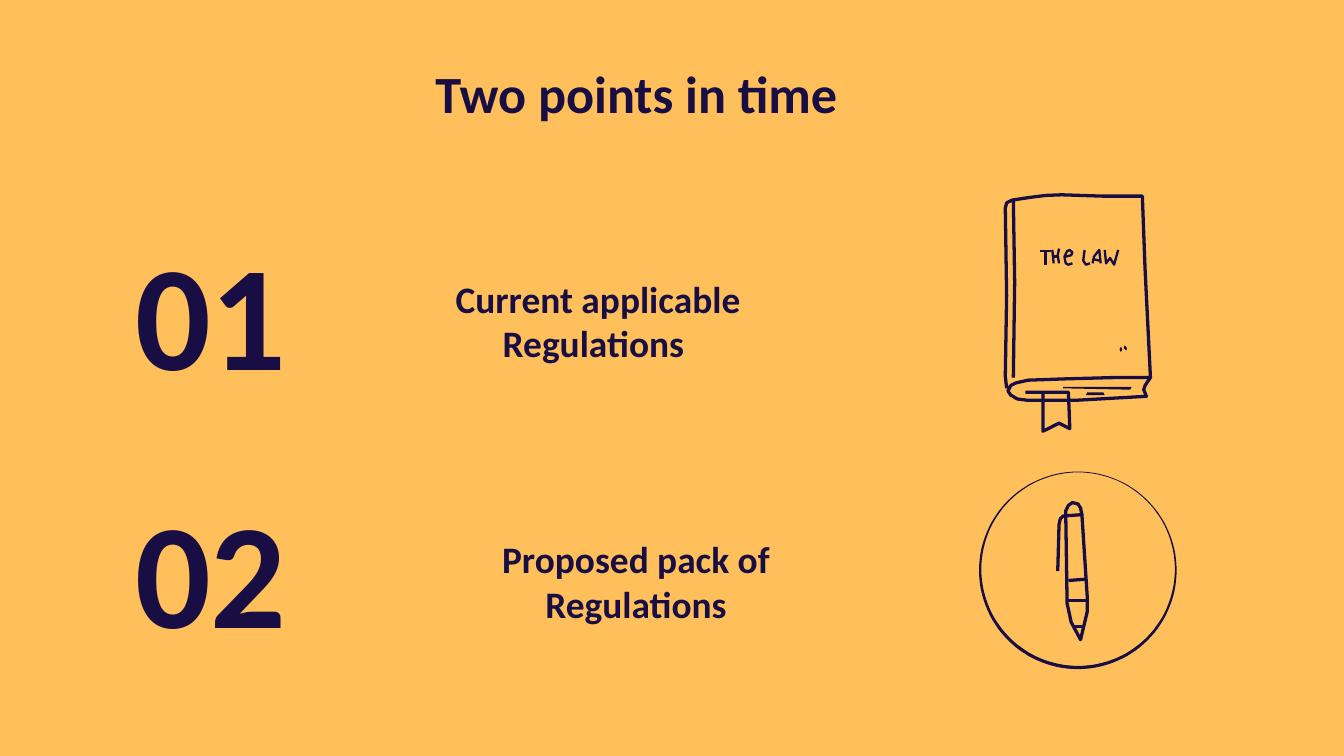
from math import cos, pi, sin

from pptx import Presentation
from pptx.dml.color import RGBColor
from pptx.enum.text import MSO_ANCHOR, MSO_AUTO_SIZE, PP_ALIGN
from pptx.oxml.ns import qn
from pptx.util import Cm, Pt

CENTER, LEFT = PP_ALIGN.CENTER, PP_ALIGN.LEFT
TOP, MIDDLE, BOTTOM = MSO_ANCHOR.TOP, MSO_ANCHOR.MIDDLE, MSO_ANCHOR.BOTTOM
NO_AUTOFIT = MSO_AUTO_SIZE.NONE

COLORS = {"paper": "FFC05C", "ink": "180E44"}
FONT = "Calibri"
COMPARISON_LAYOUT = 4
FINENESS = 10  # steps per unit of the icon coordinates
GRID = Cm(2.54) / 100 / FINENESS

BOOK = [
    # cover and pages
    [(749, 289), (748, 280), (749, 220), (748, 155), (749, 151), (753, 149),
     (766, 147), (778, 145.5), (790, 145), (820, 146), (850, 146), (852, 200),
     (856, 281), (830, 281), (793, 282), (765, 283), (756, 285), (752, 287),
     (750, 291), (752, 294), (757, 297), (765, 298), (775, 298), (800, 298),
     (853, 295), (851, 290), (852, 287), (856, 281)],
    # spine
    [(754, 149), (755, 210), (754, 281)],
    # bookmark
    [(763, 292), (795, 292), (796, 319), (788, 315), (776, 321), (776, 292)],
]

LETTERS = {
    "T": [[(774, 187), (782, 187)], [(778, 187), (778, 197)]],
    "H": [[(783, 186), (784, 196)], [(788, 185), (787, 190), (788, 196)],
          [(784, 191), (787, 191)]],
    "E": [[(793, 191), (797, 190), (798, 188), (796, 186), (794, 187),
           (792, 191), (793, 196), (795, 197), (798, 196)]],
    "L": [[(807, 186), (806, 194), (808, 197), (811, 196)]],
    "A": [[(813, 196), (814, 191), (818, 186), (819, 196)],
          [(814, 193), (818, 194)]],
    "W": [[(822, 186), (823, 196), (826, 192), (829, 197), (832, 186)]],
}

BOOK_MARKS = [
    # page edges
    [(791, 288), (842, 288), (841, 290), (791, 289)],
    [(809, 292), (821, 292), (822, 294), (808, 294)],
    # dots on the cover
    [(834, 258), (833, 260), (834, 262), (835, 260)],
    [(837, 257), (836, 259), (838, 261), (838.5, 259)],
]

PEN = [
    # barrel and tip
    [(793, 384), (794, 449), (797, 463), (804, 476), (809, 455), (809, 445),
     (805, 383), (804, 378), (802, 375), (798, 374), (795, 376), (793, 380),
     (793, 384)],
    # clip
    [(805, 383), (791, 384), (789, 386), (788, 390), (787, 425)],
    # bands
    [(795, 432), (808, 431)],
    [(795, 447), (809, 447)],
    [(799, 466), (805, 466)],
]


def color(name):
    return RGBColor.from_string(COLORS[name])


def circle(center_x, center_y, radius, direction):
    steps = 120
    angles = [direction * 2 * pi * step / steps for step in range(steps)]
    return [(center_x + radius * cos(angle), center_y + radius * sin(angle))
            for angle in angles]


def add_outline(slide, contours, closed):
    """Draw all contours as one freeform without a shadow."""
    first, *others = [[(x * FINENESS, y * FINENESS) for x, y in contour]
                      for contour in contours]
    builder = slide.shapes.build_freeform(*first[0], scale=GRID)
    builder.add_line_segments(first[1:], close=closed)
    for contour in others:
        builder.move_to(*contour[0])
        builder.add_line_segments(contour[1:], close=closed)
    shape = builder.convert_to_shape()
    shape.shadow.inherit = False
    return shape


def add_strokes(slide, strokes, width):
    shape = add_outline(slide, strokes, closed=False)
    shape.fill.background()
    shape.line.color.rgb = color("ink")
    shape.line.width = Pt(width)


def add_solid(slide, contours):
    shape = add_outline(slide, contours, closed=True)
    shape.fill.solid()
    shape.fill.fore_color.rgb = color("ink")
    shape.line.fill.background()


def fill_placeholder(box, text, place, size, anchor, align=CENTER,
                     margin=0, indent=0):
    box.left, box.top, box.width, box.height = [Cm(length) for length in place]
    frame = box.text_frame
    frame.text = text
    frame.word_wrap = True
    frame.auto_size = NO_AUTOFIT
    frame.vertical_anchor = anchor
    frame.margin_left = frame.margin_right = Cm(0.25)
    frame.margin_top = frame.margin_bottom = Cm(0.25)

    para = frame.paragraphs[0]
    para.alignment = align
    para.space_before = Pt(0)
    para.font.name = FONT
    para.font.size = Pt(size)
    para.font.bold = True
    para.font.color.rgb = color("ink")
    properties = para._p.get_or_add_pPr()
    properties.set("marL", str(Cm(margin)))
    properties.set("indent", str(Cm(indent)))
    no_bullet = properties.makeelement(qn("a:buNone"), {})
    properties.find(qn("a:spcBef")).addnext(no_bullet)


def main():
    deck = Presentation()
    deck.slide_width, deck.slide_height = Cm(25.4), Cm(14.29)
    slide = deck.slides.add_slide(deck.slide_layouts[COMPARISON_LAYOUT])
    slide.background.fill.solid()
    slide.background.fill.fore_color.rgb = color("paper")

    title, number_1, text_1, number_2, text_2 = slide.placeholders
    fill_placeholder(title, "Two points in time", (1.32, 0.91, 21.41, 1.6),
                     28, TOP)
    for box, text, top in ((number_1, "01", 4.52), (number_2, "02", 9.39)):
        fill_placeholder(box, text, (1.97, top, 4.04, 3.3), 80, BOTTOM)
    fill_placeholder(text_1, "Current applicable Regulations",
                     (7.98, 5.56, 8.51, 1), 20, MIDDLE, LEFT, 1.27, -0.89)
    fill_placeholder(text_2, "Proposed pack of Regulations",
                     (8.26, 10.49, 7.52, 1), 20, MIDDLE)

    add_strokes(slide, BOOK, 1.75)
    for strokes in LETTERS.values():
        add_strokes(slide, strokes, 1.25)
    for mark in BOOK_MARKS:
        add_solid(slide, [mark])
    # The two circles are off-centre, so the ring varies in thickness.
    add_solid(slide, [circle(802, 424.5, 73.5, 1),
                      circle(802.2, 423.6, 72, -1)])
    add_strokes(slide, PEN, 1.75)

    deck.save("out.pptx")


if __name__ == "__main__":
    main()
